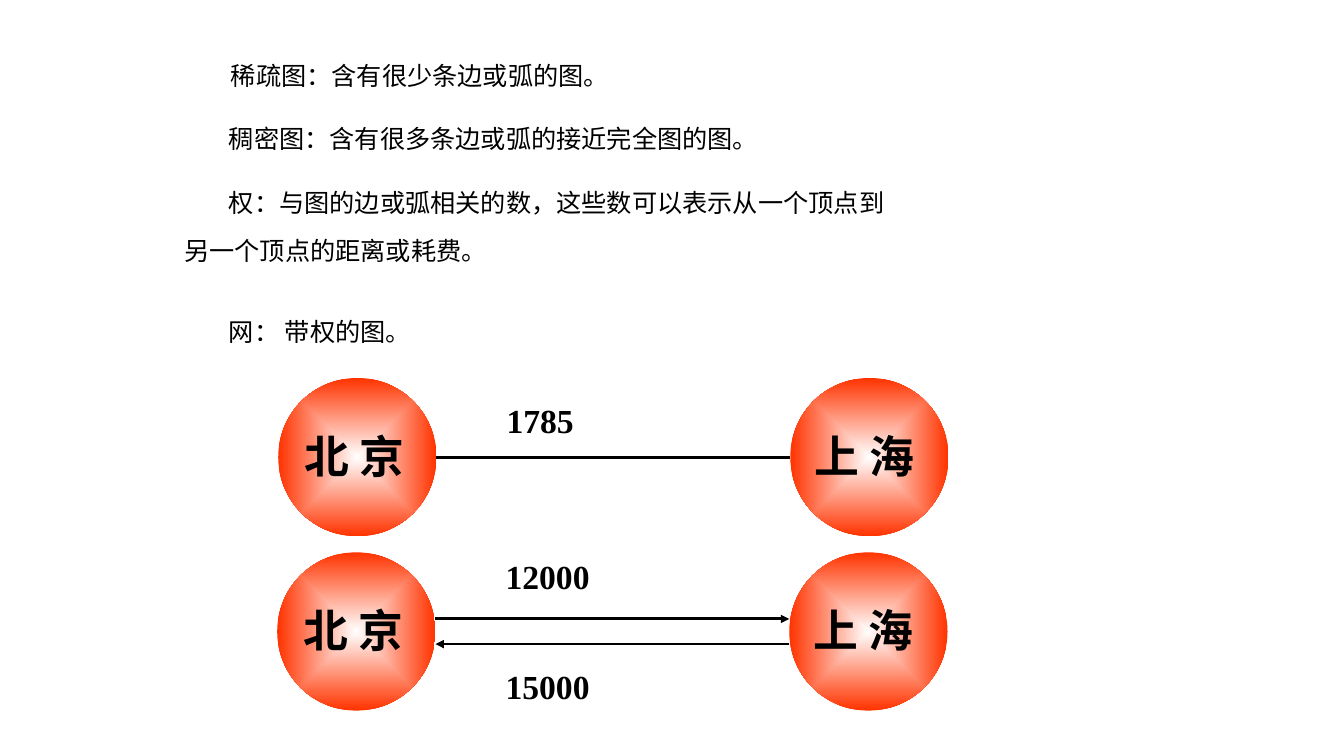
"""Build a slide that defines sparse, dense and weighted graphs with two city networks."""
from dataclasses import dataclass

from lxml.etree import SubElement
from pptx import Presentation
from pptx.dml.color import RGBColor as RGB
from pptx.enum.shapes import MSO_CONNECTOR as CXN, MSO_SHAPE as SHAPE
from pptx.oxml.ns import qn
from pptx.shapes.shapetree import GroupShapes
from pptx.slide import Slide
from pptx.text.text import _Paragraph as Paragraph
from pptx.util import Inches, Pt

COLORS = {"text": "000000", "centre": "FFFFFF", "rim": "FF3300"}
CJK, LATIN = "Noto Sans CJK SC", "Times New Roman"
SLIDE_W, SLIDE_H = Inches(13.33), Inches(7.5)
COLUMNS, ROWS = 80, 45
DIAMETER, SPAN = 9.42, 30.48
INDENT = 2.65


@dataclass
class Definition:
    x: float
    y: float
    w: float
    h: float
    lines: list[str]
    spacing: float = 1.0


@dataclass
class City:
    name: str
    dx: float
    label_dx: float


@dataclass
class Edge:
    dy: float
    weight: str
    weight_dy: float
    weight_w: float
    arrow: bool = False
    back: bool = False


@dataclass
class Network:
    x: float
    y: float
    edges: list[Edge]


DEFINITIONS = [
    Definition(10.5, 3.3, 27.6, 2.4, ["稀疏图：含有很少条边或弧的图。"]),
    Definition(10.38, 7.02, 36.72, 2.4, ["稠密图：含有很多条边或弧的接近完全图的图。"]),
    Definition(10.38, 9.78, 44.28, 6.12,
               ["权：与图的边或弧相关的数，这些数可以表示从一个顶点到", "另一个顶点的距离或耗费。"], 1.6),
    Definition(10.38, 18.54, 15.9, 2.4, ["网： 带权的图。"]),
]
CITIES = [City("北 京", 0, 0.96), City("上 海", SPAN, 0.84)]
NETWORKS = [
    Network(16.5, 32.88, [Edge(3.96, "12000", -0.06, 7.2, arrow=True),
                          Edge(5.46, "15000", 6.48, 7.2, arrow=True, back=True)]),
    Network(16.56, 22.5, [Edge(DIAMETER / 2, "1785", 1.02, 6.18)]),
]


def col(n: float) -> int:
    return round(SLIDE_W * n / COLUMNS)


def row(n: float) -> int:
    return round(SLIDE_H * n / ROWS)


def add_run(p: Paragraph, text: str, size: float, font: str, bold: bool = False) -> None:
    r = p.add_run()
    r.text = text
    r.font.size, r.font.name, r.font.bold = Pt(size), font, bold
    r.font.color.rgb = RGB.from_string(COLORS["text"])
    SubElement(r.font._element, qn("a:ea"), typeface=font)


def add_text(shapes: GroupShapes, x: float, y: float, w: float, h: float, lines: list[str],
             size: float, font: str, bold: bool = False, indent: float = 0,
             spacing: float = 1.0) -> None:
    tf = shapes.add_textbox(col(x), row(y), col(w), row(h)).text_frame
    tf.word_wrap = True
    for i, line in enumerate(lines):
        p = tf.add_paragraph() if i else tf.paragraphs[0]
        p.line_spacing = spacing
        if indent and i == 0:
            p._p.get_or_add_pPr().set("indent", str(col(indent)))
        add_run(p, line, size, font, bold)


def add_city(shapes: GroupShapes, net: Network, city: City) -> None:
    x = net.x + city.dx
    sp = shapes.add_shape(SHAPE.OVAL, col(x), row(net.y), col(DIAMETER), row(DIAMETER))
    sp.shadow.inherit = False
    sp.line.fill.background()
    sp.fill.gradient()
    for stop, name, position in zip(sp.fill.gradient_stops, ("centre", "rim"), (0, 1)):
        stop.color.rgb = RGB.from_string(COLORS[name])
        stop.position = position
    grad = sp._element.spPr.find(qn("a:gradFill"))
    grad.remove(grad.find(qn("a:lin")))
    shade = SubElement(grad, qn("a:path"), path="shape")
    SubElement(shade, qn("a:fillToRect"), dict.fromkeys("ltrb", "50000"))
    add_text(shapes, x + city.label_dx, net.y + 2.7, 9.12, 3.78, [city.name], 32, CJK, True)


def add_edge(shapes: GroupShapes, net: Network, edge: Edge) -> None:
    start, end = col(net.x + DIAMETER), col(net.x + SPAN)
    if edge.back:
        start, end = end, start
    y = row(net.y + edge.dy)
    line = shapes.add_connector(CXN.STRAIGHT, start, y, end, y)
    line.line.width = Pt(2)
    line.line.color.rgb = RGB.from_string(COLORS["text"])
    if edge.arrow:
        SubElement(line.line._get_or_add_ln(), qn("a:tailEnd"), type="triangle")
    SubElement(line._element.spPr, qn("a:effectLst"))
    add_text(shapes, net.x + 13, net.y + edge.weight_dy, edge.weight_w, 3,
             [edge.weight], 24, LATIN, True)


def add_network(s: Slide, net: Network) -> None:
    shapes = s.shapes.add_group_shape().shapes
    for city in CITIES:
        add_city(shapes, net, city)
    for edge in net.edges:
        add_edge(shapes, net, edge)


def main() -> None:
    prs = Presentation()
    prs.slide_width, prs.slide_height = SLIDE_W, SLIDE_H
    s = prs.slides.add_slide(prs.slide_layouts[6])
    for d in DEFINITIONS:
        add_text(s.shapes, d.x, d.y, d.w, d.h, d.lines, 18, CJK,
                 indent=INDENT, spacing=d.spacing)
    for net in NETWORKS:
        add_network(s, net)
    prs.save("out.pptx")


if __name__ == "__main__":
    main()
